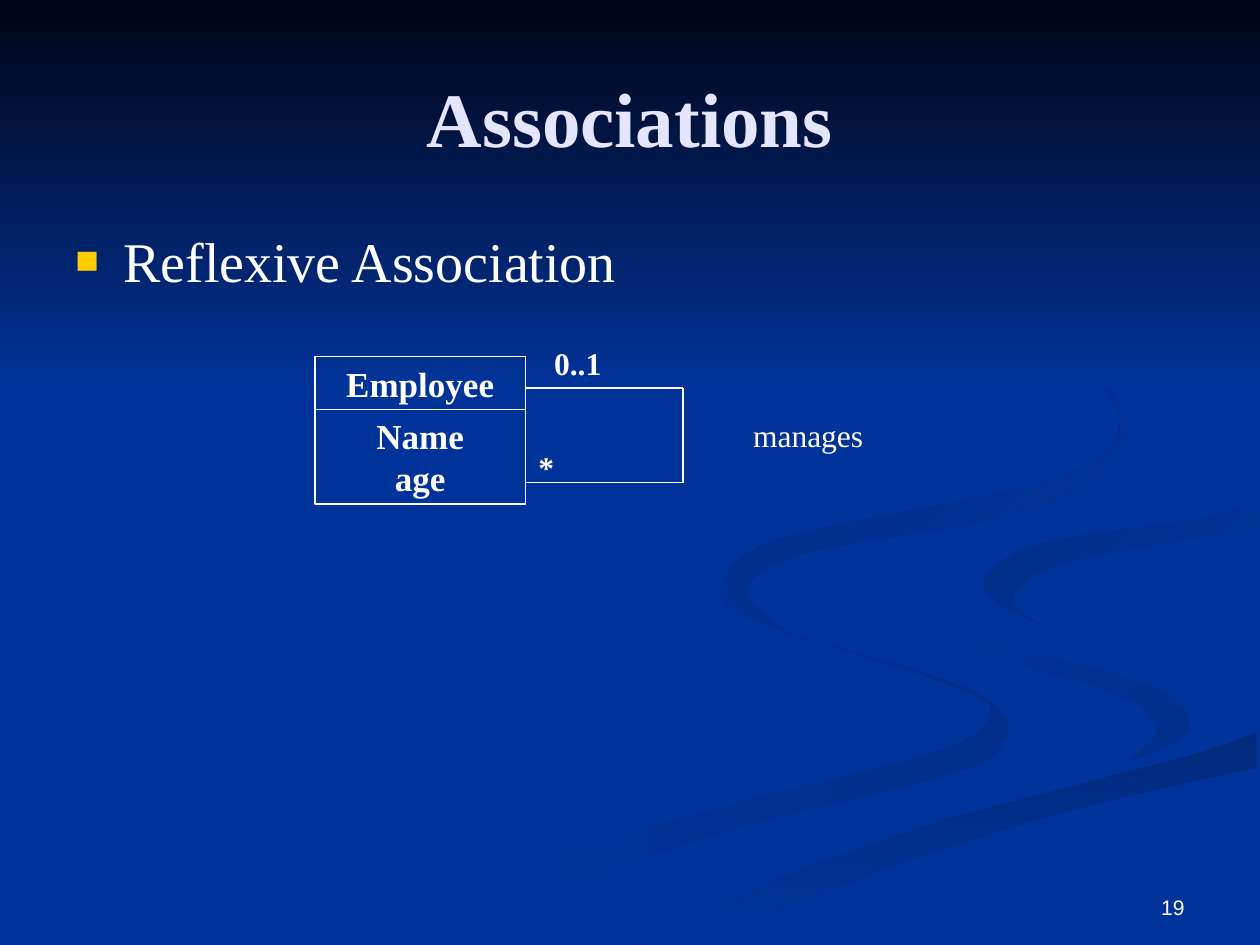
from dataclasses import dataclass

from lxml.etree import SubElement
from pptx import Presentation
from pptx.dml.color import RGBColor as Rgb
from pptx.enum.shapes import MSO_CONNECTOR as Connector, MSO_SHAPE as Shape
from pptx.enum.text import MSO_ANCHOR as Anchor, PP_ALIGN as Align
from pptx.oxml.ns import qn
from pptx.util import Inches, Pt


@dataclass(frozen=True)
class Theme:
    background: str = "003399"
    band: str = "000514"
    title: str = "E5E5FF"
    text: str = "FFFFFF"
    bullet: str = "FFCC00"
    serif: str = "Times New Roman"
    sans: str = "Arial"
    title_size: int = 44
    body_size: int = 32
    class_size: int = 20
    label_size: int = 18
    number_size: int = 12
    line_width: float = 0.75


@dataclass(frozen=True)
class Ribbon:
    near_edge: list
    far_edge: list
    start: str
    end: str
    angle: int


THEME = Theme()
SLIDE_WIDTH, SLIDE_HEIGHT = 10, 7.5
BAND_HEIGHT = 3.08
CURVE_STEPS = 5

RIBBONS = [
    Ribbon(
        [(5.75, 4.59), (5.76, 4.69), (5.94, 4.85), (6.26, 5.02), (6.82, 5.19),
         (7.31, 5.33), (7.81, 5.53), (7.99, 5.73), (7.97, 5.88), (7.8, 6.05),
         (7.21, 6.23), (6.23, 6.47), (5.32, 6.74), (4.66, 7), (3.61, 7.49)],
        [(5.75, 4.59), (5.7, 4.72), (5.86, 4.87), (6.31, 5.05), (6.79, 5.19),
         (7.41, 5.39), (7.81, 5.56), (7.86, 5.66), (7.74, 5.83), (7.39, 5.98),
         (6.84, 6.13), (5.79, 6.39), (4.99, 6.61), (4.17, 6.9), (3, 7.49)],
        THEME.background, "002E8B", 0),
    Ribbon(
        [(7.24, 4.64), (7.33, 4.83), (7.58, 4.98), (8.11, 5.15), (8.7, 5.3),
         (9.19, 5.47), (9.39, 5.62), (9.43, 5.76), (9.32, 5.89), (8.94, 6.05)],
        [(7.24, 4.64), (7.33, 4.88), (7.66, 5.12), (8.15, 5.3), (8.68, 5.44),
         (9, 5.57), (9.15, 5.71), (9.17, 5.85), (8.94, 6.05)],
        THEME.background, "002E8B", 45),
    Ribbon(
        [(5.71, 7.49), (6.14, 7.26), (6.95, 6.92), (8.21, 6.51), (9.03, 6.3),
         (9.98, 6.09)],
        [(5.03, 7.49), (5.19, 7.47), (5.69, 7.19), (6.3, 6.93), (6.96, 6.69),
         (7.64, 6.47), (8.67, 6.2), (9.5, 5.98), (9.98, 5.81)],
        "002A7D", THEME.background, 90),
    Ribbon(
        [(9.98, 4.02), (9.33, 4.15), (8.65, 4.24), (8.1, 4.37), (7.81, 4.6),
         (7.91, 4.78), (8.26, 4.96)],
        [(9.98, 4.2), (9.36, 4.29), (8.78, 4.39), (8.28, 4.53), (8.05, 4.72),
         (8.09, 4.83), (8.26, 4.96)],
        "002D86", THEME.background, 45),
    Ribbon(
        [(7.62, 2.33), (8.21, 2.61), (8.64, 2.91), (8.9, 3.24), (8.92, 3.54),
         (8.67, 3.84), (8.25, 4.02), (7.64, 4.17), (6.83, 4.3), (6.35, 4.4),
         (6.01, 4.56), (5.94, 4.75), (6.22, 5)],
        [(7.62, 2.33), (8.26, 2.66), (8.7, 2.99), (8.89, 3.35), (8.76, 3.6),
         (8.42, 3.78), (7.91, 3.92), (7.04, 4.09), (6.25, 4.26), (5.84, 4.46),
         (5.78, 4.68), (5.96, 4.88), (6.22, 5)],
        "002B82", THEME.background, 45),
]


def spline(a, b, c, d, t):
    return b + t * (c - a + t * (2*a - 5*b + 4*c - d + t * (3*b - a - 3*c + d))) / 2


def smooth_edge(knots):
    padded = [knots[0], *knots, knots[-1]]
    curve = [
        tuple(spline(*axis, step / CURVE_STEPS) for axis in zip(*window))
        for window in zip(padded, padded[1:], padded[2:], padded[3:])
        for step in range(CURVE_STEPS)
    ]
    return curve + [knots[-1]]


def fill_gradient(shape, start, end, angle):
    shape.shadow.inherit = False
    shape.line.fill.background()
    shape.fill.gradient()
    shape.fill.gradient_angle = (360 - angle) % 360
    for stop, color in zip(shape.fill.gradient_stops, (start, end)):
        stop.color.rgb = Rgb.from_string(color)


def add_ribbon(slide, ribbon):
    outline = smooth_edge(ribbon.near_edge) + smooth_edge(ribbon.far_edge)[::-1]
    points = [(Inches(x), Inches(y)) for x, y in outline]
    builder = slide.shapes.build_freeform(*points[0])
    builder.add_line_segments(points[1:], close=True)
    fill_gradient(builder.convert_to_shape(), ribbon.start, ribbon.end, ribbon.angle)


def add_rectangle(slide, *box):
    return slide.shapes.add_shape(Shape.RECTANGLE, *map(Inches, box))


def add_background(slide):
    fill = slide.background.fill
    fill.solid()
    fill.fore_color.rgb = Rgb.from_string(THEME.background)
    for ribbon in RIBBONS:
        add_ribbon(slide, ribbon)
    band = add_rectangle(slide, 0, 0, SLIDE_WIDTH, BAND_HEIGHT)
    fill_gradient(band, THEME.band, THEME.background, 90)


def write(shape, lines, size, bold=False, color=THEME.text, font=THEME.serif,
          align=Align.CENTER, anchor=Anchor.TOP, space_before=0, wrap=True):
    frame = shape.text_frame
    frame.word_wrap = wrap
    frame.vertical_anchor = anchor
    frame.text = "\n".join(lines)
    for paragraph in frame.paragraphs:
        paragraph.alignment = align
        paragraph.space_before = Pt(space_before)
        paragraph.font.name = font
        paragraph.font.size = Pt(size)
        paragraph.font.bold = bold
        paragraph.font.color.rgb = Rgb.from_string(color)


def add_text(slide, box, text, size, **style):
    shape = slide.shapes.add_textbox(*map(Inches, box))
    write(shape, [text], size, **style)
    return shape


def add_bullet(paragraph):
    properties = paragraph._p.get_or_add_pPr()
    properties.set("marL", str(Inches(0.38)))
    properties.set("indent", str(-Inches(0.38)))
    color = SubElement(properties, qn("a:buClr"))
    SubElement(color, qn("a:srgbClr"), val=THEME.bullet)
    SubElement(properties, qn("a:buSzPct"), val="70000")
    SubElement(properties, qn("a:buFont"), typeface=THEME.sans)
    SubElement(properties, qn("a:buChar"), char="■")


def style_line(line):
    line.color.rgb = Rgb.from_string(THEME.text)
    line.width = Pt(THEME.line_width)


def add_compartment(slide, box, lines):
    shape = add_rectangle(slide, *box)
    shape.shadow.inherit = False
    shape.fill.background()
    style_line(shape.line)
    write(shape, lines, THEME.class_size, bold=True, anchor=Anchor.MIDDLE, wrap=False)


def add_line(slide, start, end):
    ends = map(Inches, (*start, *end))
    connector = slide.shapes.add_connector(Connector.STRAIGHT, *ends)
    style_line(connector.line)
    SubElement(connector._element.spPr, qn("a:effectLst"))


def add_class_diagram(slide):
    left, top, width = 2.5, 2.83, 1.67
    for height, lines in ((0.42, ["Employee"]), (0.75, ["Name", "age"])):
        add_compartment(slide, (left, top, width, height), lines)
        top += height

    class_right, loop_right = left + width, 5.42
    loop_top, loop_bottom = 3.08, 3.83
    loop = [(class_right, loop_top), (loop_right, loop_top),
            (loop_right, loop_bottom), (class_right, loop_bottom)]
    for start, end in zip(loop, loop[1:]):
        add_line(slide, start, end)

    for label_left, label_top, label_width, text, bold in (
        (4.25, 2.68, 0.67, "0..1", True),
        (class_right, 3.51, 0.33, "*", True),
        (5.58, 3.25, 1.67, "manages", False),
    ):
        add_text(slide, (label_left, label_top, label_width, 0.4), text,
                 THEME.label_size, bold=bold, space_before=11.2)


def main():
    presentation = Presentation()
    presentation.slide_width = Inches(SLIDE_WIDTH)
    presentation.slide_height = Inches(SLIDE_HEIGHT)
    slide = presentation.slides.add_slide(presentation.slide_layouts[6])
    add_background(slide)
    add_text(slide, (0.5, 0.3, 9, 1.25), "Associations", THEME.title_size,
             bold=True, color=THEME.title, anchor=Anchor.MIDDLE)
    body = add_text(slide, (0.5, 1.75, 9, 4.95), "Reflexive Association",
                    THEME.body_size, align=Align.LEFT, space_before=8)
    add_bullet(body.text_frame.paragraphs[0])
    add_class_diagram(slide)
    add_text(slide, (7.17, 6.83, 2.33, 0.52), "19", THEME.number_size,
             font=THEME.sans, align=Align.RIGHT, anchor=Anchor.BOTTOM)
    presentation.save("out.pptx")


if __name__ == "__main__":
    main()
